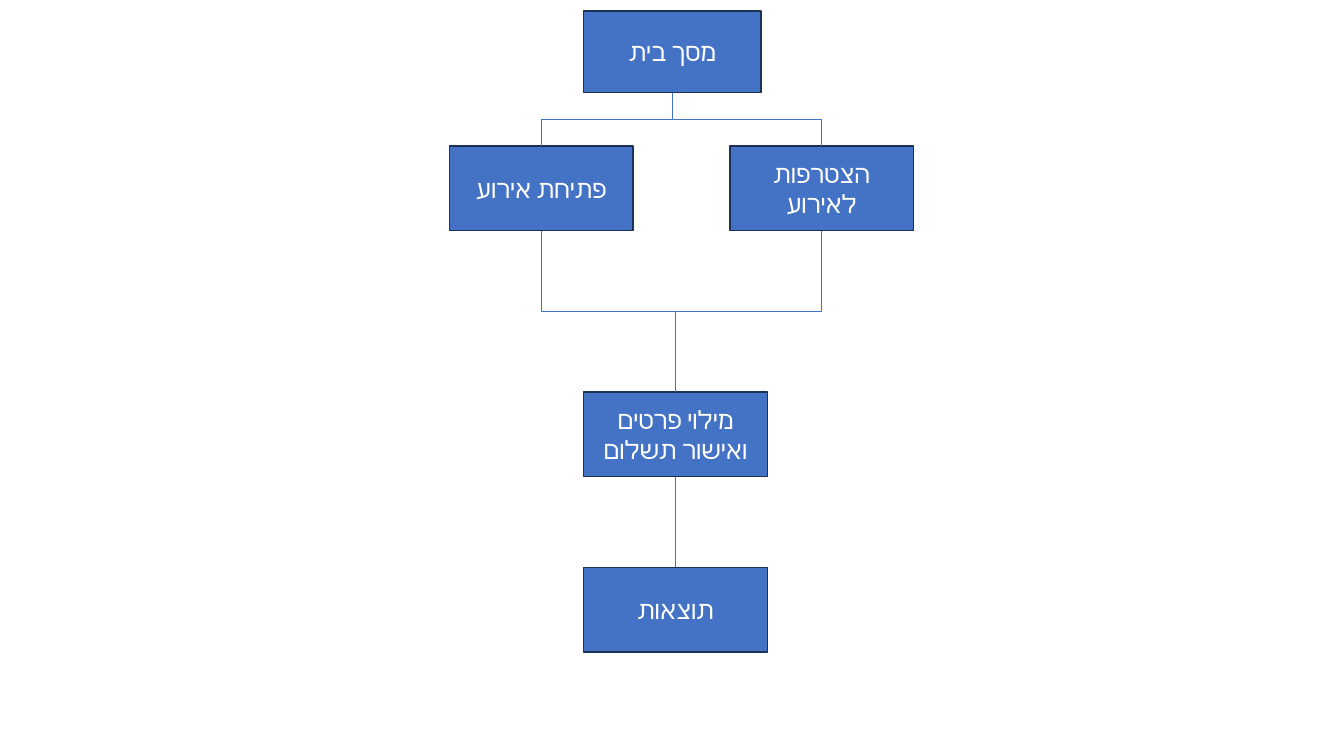
from lxml.etree import SubElement
from pptx import Presentation
from pptx.dml.color import RGBColor
from pptx.enum.shapes import MSO_CONNECTOR, MSO_SHAPE
from pptx.enum.text import MSO_ANCHOR, PP_ALIGN
from pptx.oxml.ns import qn
from pptx.util import Inches, Pt

COLORS = {"fill": "4472C4", "border": "1D3155", "line": "4472C4", "text": "FFFFFF"}
FONT = "Calibri"
TOP_SITE, BOTTOM_SITE = 0, 2
STEP_SIZE = (1.82, 0.84)
STEPS = {
    "home": ("מסך בית", 5.79, 0.11, 1.76, 0.81),
    "open": ("פתיחת אירוע", 4.46, 1.45, *STEP_SIZE),
    "join": ("הצטרפות לאירוע", 7.24, 1.45, *STEP_SIZE),
    "details": ("מילוי פרטים ואישור תשלום", 5.79, 3.89, *STEP_SIZE),
    "results": ("תוצאות", 5.79, 5.63, *STEP_SIZE),
}
LINKS = [
    ("home", "join"),
    ("home", "open"),
    ("details", "results"),
    ("join", "details"),
    ("open", "details"),
]


def color(name):
    return RGBColor.from_string(COLORS[name])


def add_step(page, text, left, top, width, height):
    box = page.shapes.add_shape(
        MSO_SHAPE.RECTANGLE, Inches(left), Inches(top), Inches(width), Inches(height)
    )
    box.shadow.inherit = False
    box.fill.solid()
    box.fill.fore_color.rgb = color("fill")
    box.line.color.rgb = color("border")
    box.line.width = Pt(1)
    frame = box.text_frame
    frame.word_wrap = True
    frame.vertical_anchor = MSO_ANCHOR.MIDDLE
    para = frame.paragraphs[0]
    para.alignment = PP_ALIGN.CENTER
    para._p.get_or_add_pPr().set("rtl", "1")
    span = para.add_run()
    span.text = text
    span.font.size = Pt(18)
    span.font.name = FONT
    span.font.color.rgb = color("text")
    SubElement(span._r.get_or_add_rPr(), qn("a:cs")).set("typeface", FONT)
    return box


def turn_downward(connector, start_x, start_y, end_x, end_y):
    drop, shift = end_y - start_y, abs(end_x - start_x)
    connector.left = (start_x + end_x - drop) // 2
    connector.top = (start_y + end_y - shift) // 2
    connector.width, connector.height = drop, shift
    goes_right = end_x > start_x
    frame = connector._element.spPr.find(qn("a:xfrm"))
    frame.set("rot", str((270 if goes_right else 90) * 60000))
    frame.set("flipH", "1" if goes_right else "0")
    frame.set("flipV", "0")


def add_link(page, upper, lower):
    start = (upper.left + upper.width // 2, upper.top + upper.height)
    end = (lower.left + lower.width // 2, lower.top)
    straight = start[0] == end[0]
    kind = MSO_CONNECTOR.STRAIGHT if straight else MSO_CONNECTOR.ELBOW
    connector = page.shapes.add_connector(kind, *start, *end)
    connector.begin_connect(upper, BOTTOM_SITE)
    connector.end_connect(lower, TOP_SITE)
    if not straight:
        turn_downward(connector, *start, *end)
    connector.line.color.rgb = color("line")
    connector.line.width = Pt(0.5)
    SubElement(connector._element.spPr, qn("a:effectLst"))


def add_flow_chart(page):
    boxes = {name: add_step(page, *step) for name, step in STEPS.items()}
    for upper, lower in LINKS:
        add_link(page, boxes[upper], boxes[lower])


def main():
    deck = Presentation()
    deck.slide_width = Inches(13.33)
    deck.slide_height = Inches(7.5)
    page = deck.slides.add_slide(deck.slide_layouts[6])
    add_flow_chart(page)
    deck.save("out.pptx")


if __name__ == "__main__":
    main()
